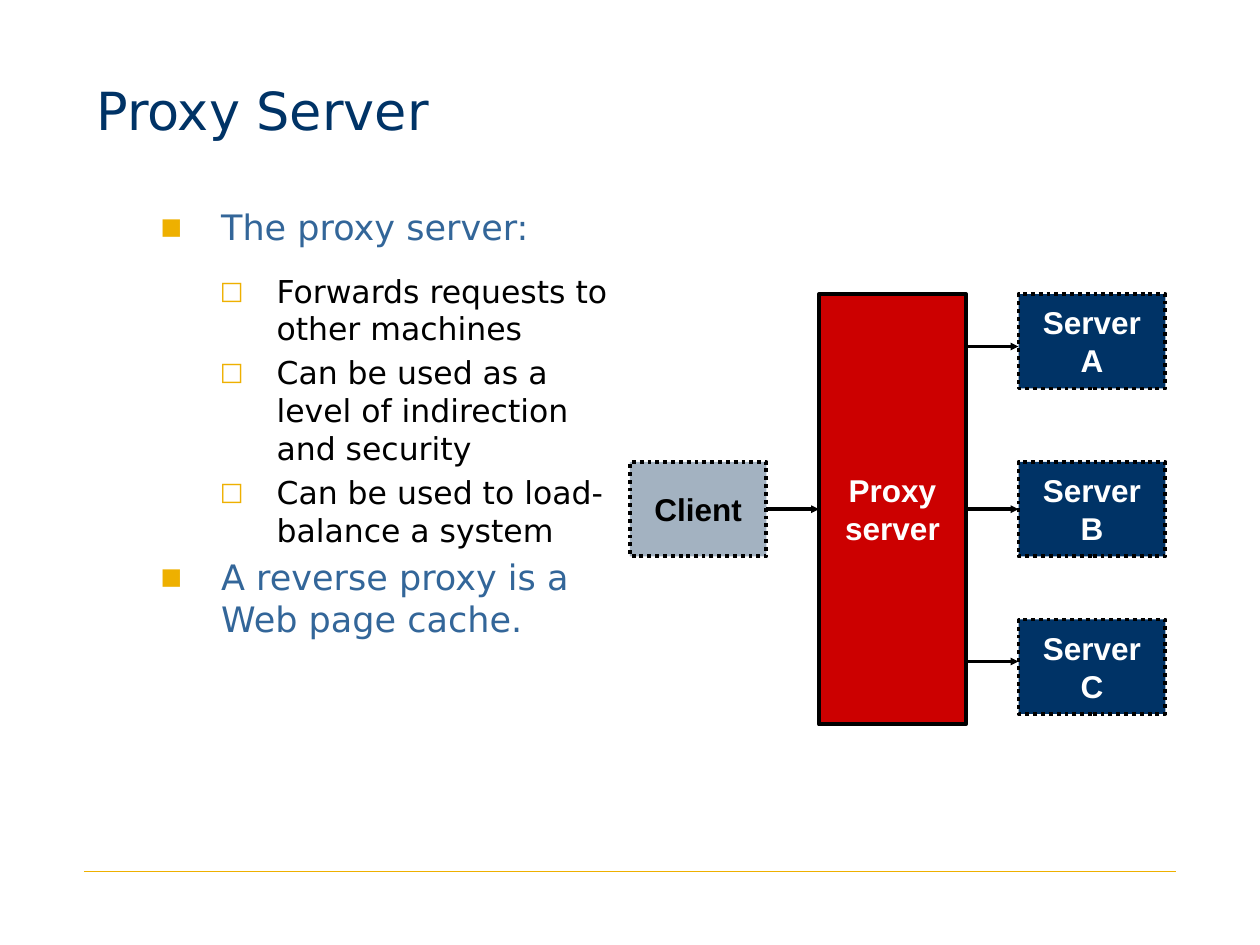
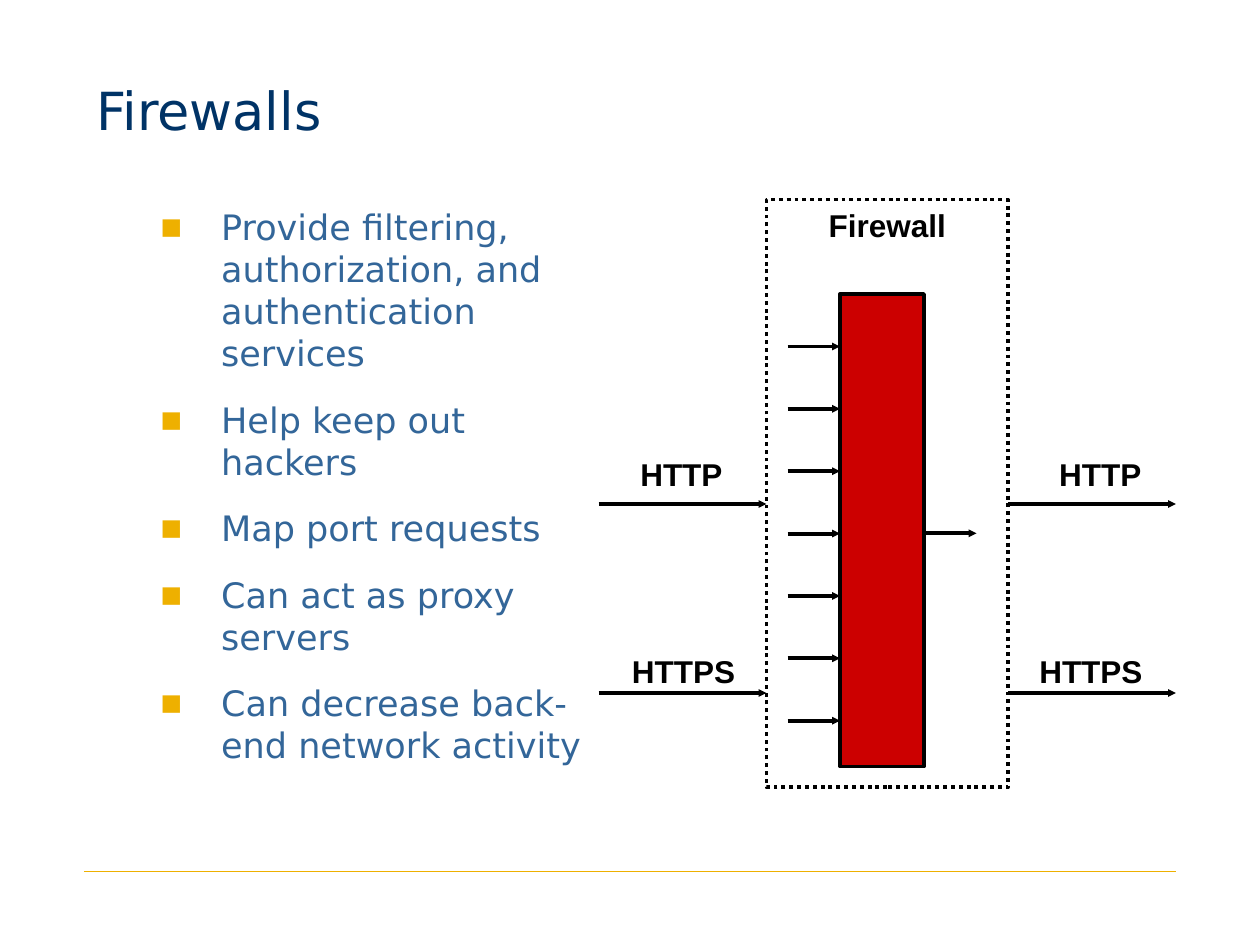
from lxml.etree import SubElement
from pptx import Presentation
from pptx.dml.color import RGBColor
from pptx.enum.dml import MSO_LINE
from pptx.enum.shapes import MSO_CONNECTOR, MSO_SHAPE
from pptx.enum.text import MSO_ANCHOR, PP_ALIGN
from pptx.oxml.ns import qn
from pptx.util import Inches, Pt

COLORS = {name: RGBColor.from_string(value) for name, value in {
    "navy": "003366", "blue": "336699", "gold": "EEB000", "red": "CC0000",
    "steel": "A3B2C1", "black": "000000", "white": "FFFFFF"}.items()}
CELL = Inches(10) / 120  # the slide is a grid of 120 columns by 90 rows

# Bullet levels: text size, colour, left margin, hanging indent, space after, mark, mark size
LEVELS = {
    1: (20, "blue", 0.99, 0.48, 10, "■", "65000"),
    2: (18, "black", 1.43, 0.45, 0, "□", "80000"),
}
SLIDES = [
    ("Proxy Server", 52, [
        (1, "The proxy server:"),
        (2, "Forwards requests to other machines"),
        (2, "Can be used as a level of indirection and security"),
        (2, "Can be used to load-balance a system"),
        (1, "A reverse proxy is a Web page cache.")]),
    ("Firewalls", 50, [
        (1, "Provide filtering, authorization, and authentication services"),
        (1, "Help keep out hackers"),
        (1, "Map port requests"),
        (1, "Can act as proxy servers"),
        (1, "Can decrease back-end network activity")]),
]


def add_block(page, cells, lines=(), fill=None, ink="white", dotted=False,
              anchor=MSO_ANCHOR.MIDDLE, align=PP_ALIGN.CENTER):
    """Add a labelled rectangle, or a plain label when there is no fill."""
    place = [round(cell * CELL) for cell in cells]
    if fill:
        box = page.shapes.add_shape(MSO_SHAPE.RECTANGLE, *place)
        box.shadow.inherit = False
        box.fill.solid()
        box.fill.fore_color.rgb = COLORS[fill]
        box.line.color.rgb = COLORS["black"]
        box.line.width = Pt(2.25)
        if dotted:
            box.line.dash_style = MSO_LINE.ROUND_DOT
    else:
        box = page.shapes.add_textbox(*place)
    frame = box.text_frame
    frame.word_wrap = False
    frame.vertical_anchor = anchor
    for number, line in enumerate(lines):
        para = frame.add_paragraph() if number else frame.paragraphs[0]
        para.alignment = align
        span = para.add_run()
        span.text = line
        for name, value in {"name": "Arial", "size": Pt(18), "bold": True}.items():
            setattr(span.font, name, value)
        span.font.color.rgb = COLORS[ink]


def add_rule(page, left, right, row, color="black", width=2.25, arrow=True):
    """Add a level line between two columns, with an arrowhead if wanted."""
    ends = [round(cell * CELL) for cell in (left, row, right, row)]
    rule = page.shapes.add_connector(MSO_CONNECTOR.STRAIGHT, *ends)
    rule.line.color.rgb = COLORS[color]
    rule.line.width = Pt(width)
    if arrow:
        SubElement(rule.line._get_or_add_ln(), qn("a:tailEnd"),
                   type="triangle", w="sm", len="sm")
    SubElement(rule._element.spPr, qn("a:effectLst"))


deck = Presentation()
deck.slide_width, deck.slide_height = Inches(10), Inches(7.5)
pages = []

# Shared frame: footer rule, title and bulleted text
for title, body_width, bullets in SLIDES:
    page = deck.slides.add_slide(deck.slide_layouts[6])
    pages.append(page)
    add_rule(page, 8, 112, 83, "gold", 0.25, arrow=False)

    box = page.shapes.add_textbox(*[round(cell * CELL) for cell in (8, 2, 105, 12)])
    box.text_frame.word_wrap = True
    box.text_frame.vertical_anchor = MSO_ANCHOR.BOTTOM
    span = box.text_frame.paragraphs[0].add_run()
    span.text = title
    span.font.name, span.font.size = "DejaVu Sans", Pt(30)
    span.font.color.rgb = COLORS["navy"]

    box = page.shapes.add_textbox(*[round(cell * CELL) for cell in (8, 19, body_width, 40)])
    frame = box.text_frame
    frame.word_wrap = True
    for number, (level, text) in enumerate(bullets):
        size, color, margin, hang, after, mark, mark_size = LEVELS[level]
        para = frame.add_paragraph() if number else frame.paragraphs[0]
        para.level = level - 1
        para.space_before, para.space_after = Pt(size * 0.2), Pt(after)
        span = para.add_run()
        span.text = text
        span.font.name, span.font.size = "DejaVu Sans", Pt(size)
        span.font.color.rgb = COLORS[color]
        props = para._p.get_or_add_pPr()
        props.set("marL", str(Inches(margin)))
        props.set("indent", str(-Inches(hang)))
        tint = SubElement(props, qn("a:buClr"))
        SubElement(tint, qn("a:srgbClr"), val=str(COLORS["gold"]))
        SubElement(props, qn("a:buSzPct"), val=mark_size)
        SubElement(props, qn("a:buFont"), typeface="DejaVu Sans")
        SubElement(props, qn("a:buChar"), char=mark)

proxy_page, firewall_page = pages

# Proxy diagram: client, proxy and three servers
add_block(proxy_page, (78, 28, 14, 41), ["Proxy", "server"], "red")
add_block(proxy_page, (60, 44, 13, 9), ["Client"], "steel", "black", dotted=True)
add_rule(proxy_page, 73, 78, 48.5)
for letter, top, arrow_row in (("A", 28, 33), ("B", 44, 48.5), ("C", 59, 63)):
    add_block(proxy_page, (97, top, 14, 9), ["Server", letter], "navy", dotted=True)
    add_rule(proxy_page, 92, 97, arrow_row)

# Firewall diagram: seven evenly spaced requests in, one out
add_block(firewall_page, (73, 19, 23, 56), ["Firewall"], "white", "black",
          dotted=True, anchor=MSO_ANCHOR.TOP)
for request in range(7):
    add_rule(firewall_page, 75, 80, 33 + request * 5.94)
add_rule(firewall_page, 88, 93, 50.8)
add_block(firewall_page, (80, 28, 8, 45), fill="red")

# Protocols entering and leaving; each label box is wide enough for one line
for protocol, row, label_top, label_lefts in (
        ("HTTP", 48, 42.7, (59.8, 99.7)), ("HTTPS", 66, 61.5, (59, 97.8))):
    for arrow_left, label_left in zip((57, 96), label_lefts):
        add_rule(firewall_page, arrow_left, arrow_left + 16, row)
        add_block(firewall_page, (label_left, label_top, 14, 4.5), [protocol], ink="black",
                  anchor=MSO_ANCHOR.TOP, align=PP_ALIGN.LEFT)

deck.save("out.pptx")
